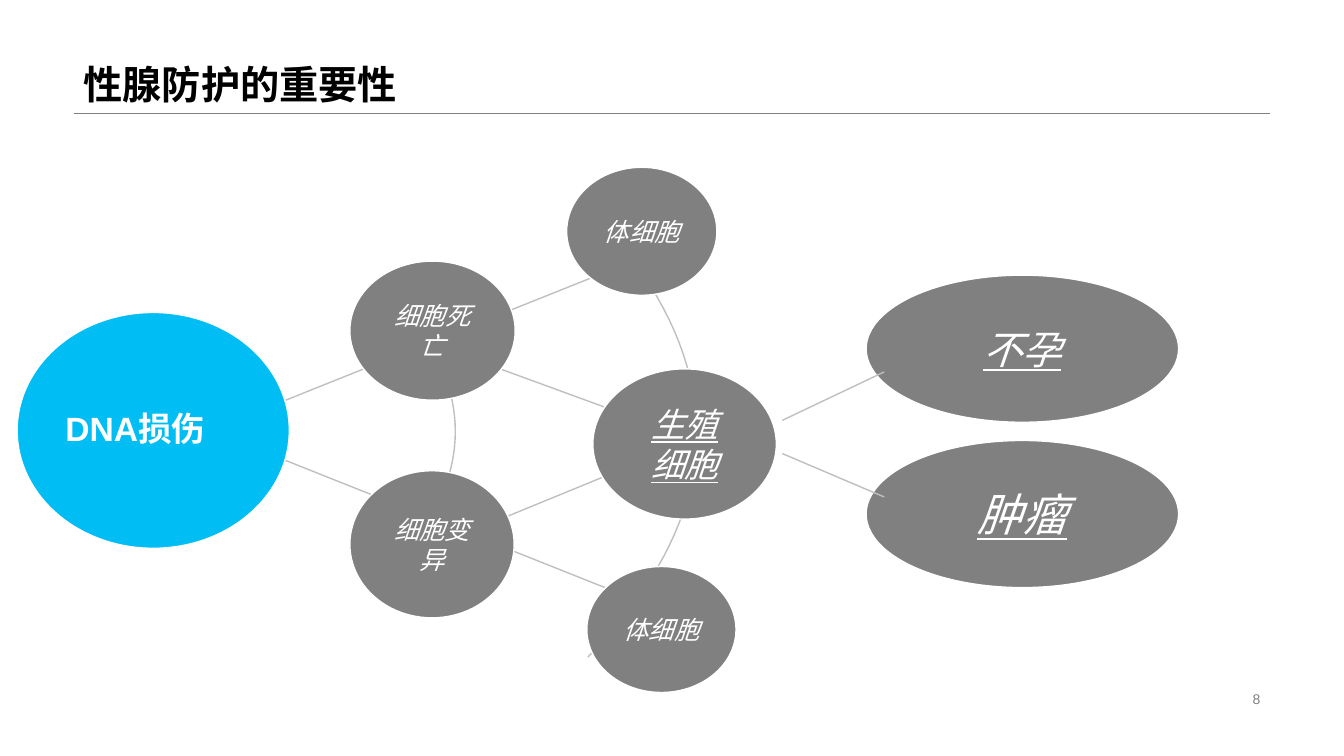
from lxml import etree
from pptx import Presentation
from pptx.dml.color import RGBColor
from pptx.enum.shapes import MSO_CONNECTOR, MSO_SHAPE
from pptx.enum.text import MSO_ANCHOR, MSO_AUTO_SIZE, PP_ALIGN
from pptx.oxml.ns import qn
from pptx.util import Inches, Pt

STRAIGHT, OVAL = MSO_CONNECTOR.STRAIGHT, MSO_SHAPE.OVAL
LEFT, CENTER, RIGHT = PP_ALIGN.LEFT, PP_ALIGN.CENTER, PP_ALIGN.RIGHT
TOP, MIDDLE, BOTTOM = MSO_ANCHOR.TOP, MSO_ANCHOR.MIDDLE, MSO_ANCHOR.BOTTOM
NO_FIT = MSO_AUTO_SIZE.NONE

GRAY, PALE, BLUE, WHITE, BLACK = "808080", "BFBFBF", "00BEF4", "FFFFFF", "000000"
LATIN, CJK = "Arial", "Noto Sans CJK JP"

TITLE = "性腺防护的重要性"
CELL = {"size": Pt(18), "name": LATIN, "italic": True}
GERM = {"size": Pt(24), "name": LATIN, "italic": True, "underline": True}
INFERTILITY = {"size": Pt(28), "name": CJK, "italic": True, "underline": True}
TUMOUR = {**INFERTILITY, "size": Pt(32)}

# Branches from the damage node, as (start, end)
BRANCHES = [
    ((6.73, 2.41), (2.16, 4.24)),
    ((2.16, 4.3), (6.73, 6.12)),
    ((6.11, 4.68), (4.77, 5.23)),
    ((4.77, 3.59), (6.11, 4.08)),
]
OUTCOME_LINES = [((7.76, 4.5), (8.77, 4.93)), ((8.77, 3.69), (7.76, 4.17))]
# Bezier arcs joining the nodes of one level
FATE_ARC = [(3.82, 5.72), (4.75, 4.76), (4.75, 3.8), (3.81, 2.82)]
CELL_ARC = [(5.83, 6.52), (7.27, 5.04), (7.27, 3.55), (5.82, 2.04)]
# Nodes, as (box, fill, lines of text, font)
FATES = [
    ((3.47, 4.67, 1.63, 1.46), GRAY, ["细胞变异"], CELL),
    ((3.47, 2.59, 1.64, 1.38), GRAY, ["细胞死亡"], CELL),
]
CELLS_AND_OUTCOMES = [
    ((5.82, 5.62, 1.48, 1.25), GRAY, ["体细胞"], CELL),
    ((5.62, 1.66, 1.49, 1.27), GRAY, ["体细胞"], CELL),
    ((5.88, 3.66, 1.82, 1.49), GRAY, ["生殖", "细胞"], GERM),
    ((8.59, 2.73, 3.1, 1.46), GRAY, ["不孕"], INFERTILITY),
    ((0.17, 3.1, 2.7, 2.34), BLUE, [], CELL),
    ((8.59, 4.37, 3.1, 1.46), GRAY, ["肿瘤"], TUMOUR),
]


def rgb(color):
    """Turn a hex string into a colour."""
    return RGBColor.from_string(color)


def box(values):
    """Turn a tuple of inches into lengths."""
    return [Inches(v) for v in values]


def write(sp, lines, font, color=WHITE, align=CENTER, anchor=MIDDLE):
    """Fill a shape with one formatted paragraph per line."""
    tf = sp.text_frame
    tf.word_wrap, tf.auto_size, tf.vertical_anchor = True, NO_FIT, anchor
    tf.text = "\n".join(lines)
    for p in tf.paragraphs:
        p.alignment = align
        for r in p.runs:
            for name, value in font.items():
                setattr(r.font, name, value)
            r.font.color.rgb = rgb(color)
            ea = etree.SubElement(r.font._element, qn("a:ea"))
            ea.set("typeface", CJK)


def add_line(start, end, color=PALE, width=1):
    """Draw a straight line without a shadow."""
    sp = shapes.add_connector(STRAIGHT, *box(start + end))
    sp.line.color.rgb, sp.line.width = rgb(color), Pt(width)
    etree.SubElement(sp._element.spPr, qn("a:effectLst"))


def add_arc(controls, steps=40):
    """Draw a cubic Bezier curve as an open outline."""
    points = []
    for i in range(steps + 1):
        t = i / steps
        weights = ((1 - t) ** 3, 3 * t * (1 - t) ** 2, 3 * t * t * (1 - t), t ** 3)
        points.append([Inches(sum(w * c[axis] for w, c in zip(weights, controls)))
                       for axis in (0, 1)])
    builder = shapes.build_freeform(*points[0])
    builder.add_line_segments(points[1:], close=False)
    sp = builder.convert_to_shape()
    sp.shadow.inherit = False
    sp.fill.background()
    sp.line.color.rgb, sp.line.width = rgb(PALE), Pt(1)


def add_node(place, fill, lines, font):
    """Draw an ellipse with a white outline and its label."""
    sp = shapes.add_shape(OVAL, *box(place))
    sp.shadow.inherit = False
    sp.fill.solid()
    sp.fill.fore_color.rgb = rgb(fill)
    sp.line.color.rgb, sp.line.width = rgb(WHITE), Pt(1)
    if lines:
        write(sp, lines, font)


prs = Presentation()
prs.slide_width, prs.slide_height = Inches(13.33), Inches(7.5)
slide = prs.slides.add_slide(prs.slide_layouts[5])
shapes = slide.shapes

title = shapes.title
title.left, title.top, title.width, title.height = box((0.73, 0, 11.87, 1.12))
write(title, [TITLE], {"size": Pt(28), "name": LATIN, "bold": True}, BLACK, LEFT, BOTTOM)
title.text_frame.paragraphs[0].line_spacing = 0.9
add_line((0.73, 1.12), (12.6, 1.12), GRAY, 0.25)

for start, end in BRANCHES:
    add_line(start, end)
add_arc(FATE_ARC)
for node in FATES:
    add_node(*node)
add_arc(CELL_ARC)
for node in CELLS_AND_OUTCOMES:
    add_node(*node)

number = shapes.add_textbox(*box((9.42, 6.82, 3.18, 0.23)))
write(number, ["8"], {"size": Pt(10), "name": LATIN}, GRAY, RIGHT)
damage = shapes.add_textbox(*box((0.55, 4, 1.6, 0.5)))
write(damage, ["DNA损伤"], {"size": Pt(24), "name": LATIN, "bold": True}, WHITE, LEFT, TOP)
for start, end in OUTCOME_LINES:
    add_line(start, end)

prs.save("out.pptx")
